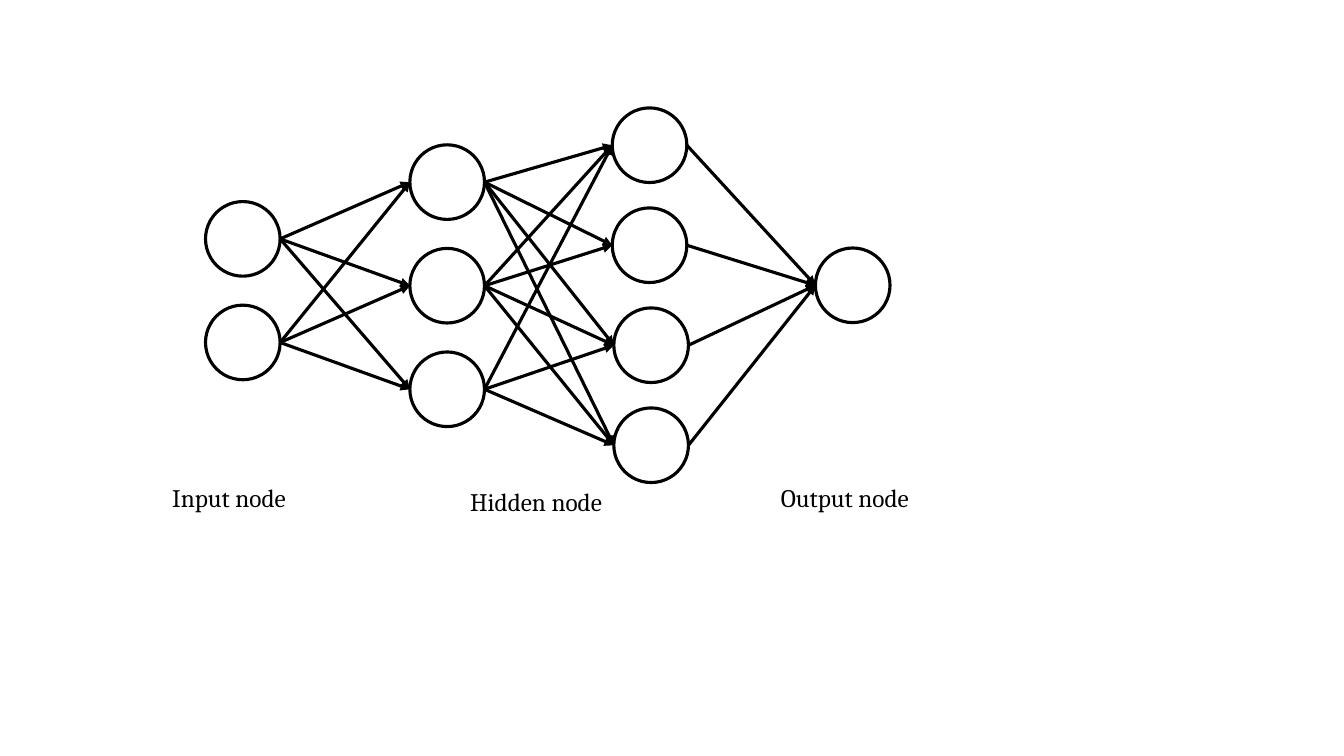
from dataclasses import dataclass
from itertools import product

from lxml import etree
from pptx import Presentation
from pptx import util as u
from pptx.dml.color import RGBColor
from pptx.enum import shapes, text
from pptx.oxml.ns import qn


@dataclass(frozen=True)
class Theme:
    ink: RGBColor = RGBColor(0x00, 0x00, 0x00)
    paper: RGBColor = RGBColor(0xFF, 0xFF, 0xFF)
    font: str = "Cambria"
    label_size: u.Pt = u.Pt(18)
    line_width: u.Pt = u.Pt(2.25)


DIAMETER = 1.88  # all lengths in cm

# Each layer: left edge of every node, top of the first node, vertical pitch
LAYERS = [
    ([5.18] * 2, 5.08, 2.61),
    ([10.33] * 3, 3.65, 2.61),
    ([15.43, 15.43, 15.47, 15.47], 2.72, 2.52),
    ([20.55], 6.25, 0),
]
# (layer, node, node in the next layer) pairs that stay unconnected
UNLINKED = {(1, 2, 1)}

# Label: wording, left, top, width
LABELS = [
    ("Input node", 4.09, 12.02, 4.06),
    ("Hidden node", 11.6, 12.13, 4.45),
    ("Output node", 19.43, 12.02, 4.09),
]
LABEL_HEIGHT = 1.02


class NetworkSlide:
    def __init__(self, prs, theme):
        self.theme = theme
        self.s = prs.slides.add_slide(prs.slide_layouts[6])

    def outline(self, line):
        line.color.rgb = self.theme.ink
        line.width = self.theme.line_width

    def node(self, left, top):
        sp = self.s.shapes.add_shape(
            shapes.MSO_SHAPE.OVAL,
            u.Cm(left), u.Cm(top), u.Cm(DIAMETER), u.Cm(DIAMETER))
        sp.shadow.inherit = False
        sp.fill.solid()
        sp.fill.fore_color.rgb = self.theme.paper
        self.outline(sp.line)
        return sp

    def arrow(self, source, target):
        """Link the right edge of one node to the left edge of another."""
        cxn = self.s.shapes.add_connector(
            shapes.MSO_CONNECTOR.STRAIGHT,
            source.left + source.width, source.top + source.height // 2,
            target.left, target.top + target.height // 2)
        self.outline(cxn.line)
        ln = cxn.line._get_or_add_ln()
        etree.SubElement(ln, qn("a:tailEnd"), type="triangle")
        etree.SubElement(cxn._element.spPr, qn("a:effectLst"))

    def label(self, wording, left, top, width):
        box = self.s.shapes.add_textbox(
            u.Cm(left), u.Cm(top), u.Cm(width), u.Cm(LABEL_HEIGHT))
        tf = box.text_frame
        frame_format = {"word_wrap": True,
                        "auto_size": text.MSO_AUTO_SIZE.SHAPE_TO_FIT_TEXT}
        for name, value in frame_format.items():
            setattr(tf, name, value)
        r = tf.paragraphs[0].add_run()
        r.text = wording
        font_format = {"name": self.theme.font, "size": self.theme.label_size}
        for name, value in font_format.items():
            setattr(r.font, name, value)
        r.font.color.rgb = self.theme.ink


def main():
    prs = Presentation()
    prs.slide_width, prs.slide_height = u.Cm(33.87), u.Cm(19.05)
    slide = NetworkSlide(prs, Theme())

    layers = [
        [slide.node(left, top + i * pitch) for i, left in enumerate(lefts)]
        for lefts, top, pitch in LAYERS
    ]
    for n, (sources, targets) in enumerate(zip(layers, layers[1:])):
        for (i, source), (j, target) in product(enumerate(sources),
                                                enumerate(targets)):
            if (n, i, j) not in UNLINKED:
                slide.arrow(source, target)
    for label in LABELS:
        slide.label(*label)

    prs.save("out.pptx")


if __name__ == "__main__":
    main()
